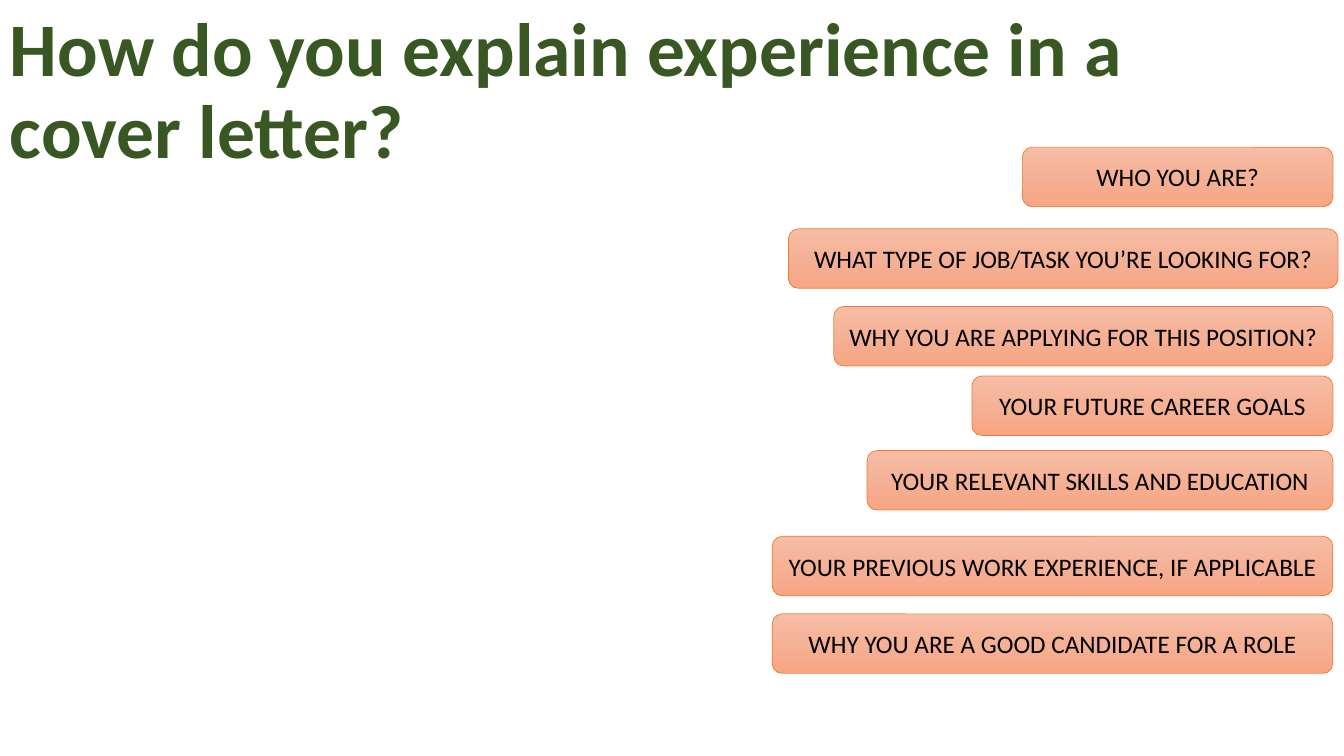
from copy import deepcopy
from pptx import Presentation
from pptx.dml.color import RGBColor
from pptx.enum.shapes import MSO_SHAPE
from pptx.enum.text import MSO_ANCHOR, PP_ALIGN
from pptx.oxml.ns import qn
from pptx.util import Inches, Pt

THEME = {
    "font": "Calibri",
    "title": RGBColor.from_string("385723"),
    "text": RGBColor.from_string("000000"),
    "line": RGBColor.from_string("ED7D31"),
    "gradient": ["F7BDA5", "F5B196", "F8A582"],
    "title_size": Pt(54),
    "box_size": Pt(18),
    "line_width": Pt(0.5),
}
W, H = 13.33, 7.5
RIGHT = 13.22  # shared right edge of the boxes
BOX_H = 0.59

# Text, top, width, right edge
QUESTIONS = [
    ("WHY YOU ARE A GOOD CANDIDATE FOR A ROLE", 6.09, 5.56, RIGHT),
    ("YOUR PREVIOUS WORK EXPERIENCE, IF APPLICABLE", 5.32, 5.56, RIGHT),
    ("YOUR RELEVANT SKILLS AND EDUCATION", 4.47, 4.62, RIGHT),
    ("YOUR FUTURE CAREER GOALS", 3.73, 3.58, RIGHT),
    ("WHY YOU ARE APPLYING FOR THIS POSITION?", 3.04, 4.95, RIGHT),
    ("WHAT TYPE OF JOB/TASK YOU’RE LOOKING FOR?", 2.27, 5.45, RIGHT + 0.05),
    ("WHO YOU ARE?", 1.46, 3.08, RIGHT),
]


def write(sp, text, size, color, bold=False):
    tf = sp.text_frame
    tf.word_wrap = True
    tf.vertical_anchor = MSO_ANCHOR.MIDDLE
    p = tf.paragraphs[0]
    r = p.add_run()
    r.text = text
    r.font.name = THEME["font"]
    r.font.size = size
    r.font.bold = bold
    r.font.color.rgb = color
    return p


def fill_gradient(sp, colors):
    sp.fill.gradient()
    sp.fill.gradient_angle = 270  # top to bottom
    stops = sp._element.spPr.find(qn("a:gradFill")).find(qn("a:gsLst"))
    stops.insert(1, deepcopy(stops[0]))
    for i, (stop, color) in enumerate(zip(sp.fill.gradient_stops, colors)):
        stop.position = i / (len(colors) - 1)
        stop.color.rgb = RGBColor.from_string(color)


prs = Presentation()
prs.slide_width, prs.slide_height = Inches(W), Inches(H)
s = prs.slides.add_slide(prs.slide_layouts[6])

# Title
title = s.shapes.add_textbox(0, 0, Inches(12.42), Inches(1.85))
p = write(title, "How do you explain experience in a cover letter?",
          THEME["title_size"], THEME["title"], bold=True)
p.line_spacing = 0.9

# Question boxes, aligned to the right
for text, top, width, right in QUESTIONS:
    sp = s.shapes.add_shape(MSO_SHAPE.ROUNDED_RECTANGLE, Inches(right - width),
                            Inches(top), Inches(width), Inches(BOX_H))
    sp.shadow.inherit = False
    fill_gradient(sp, THEME["gradient"])
    sp.line.color.rgb = THEME["line"]
    sp.line.width = THEME["line_width"]
    p = write(sp, text, THEME["box_size"], THEME["text"])
    p.alignment = PP_ALIGN.CENTER

prs.save("out.pptx")
